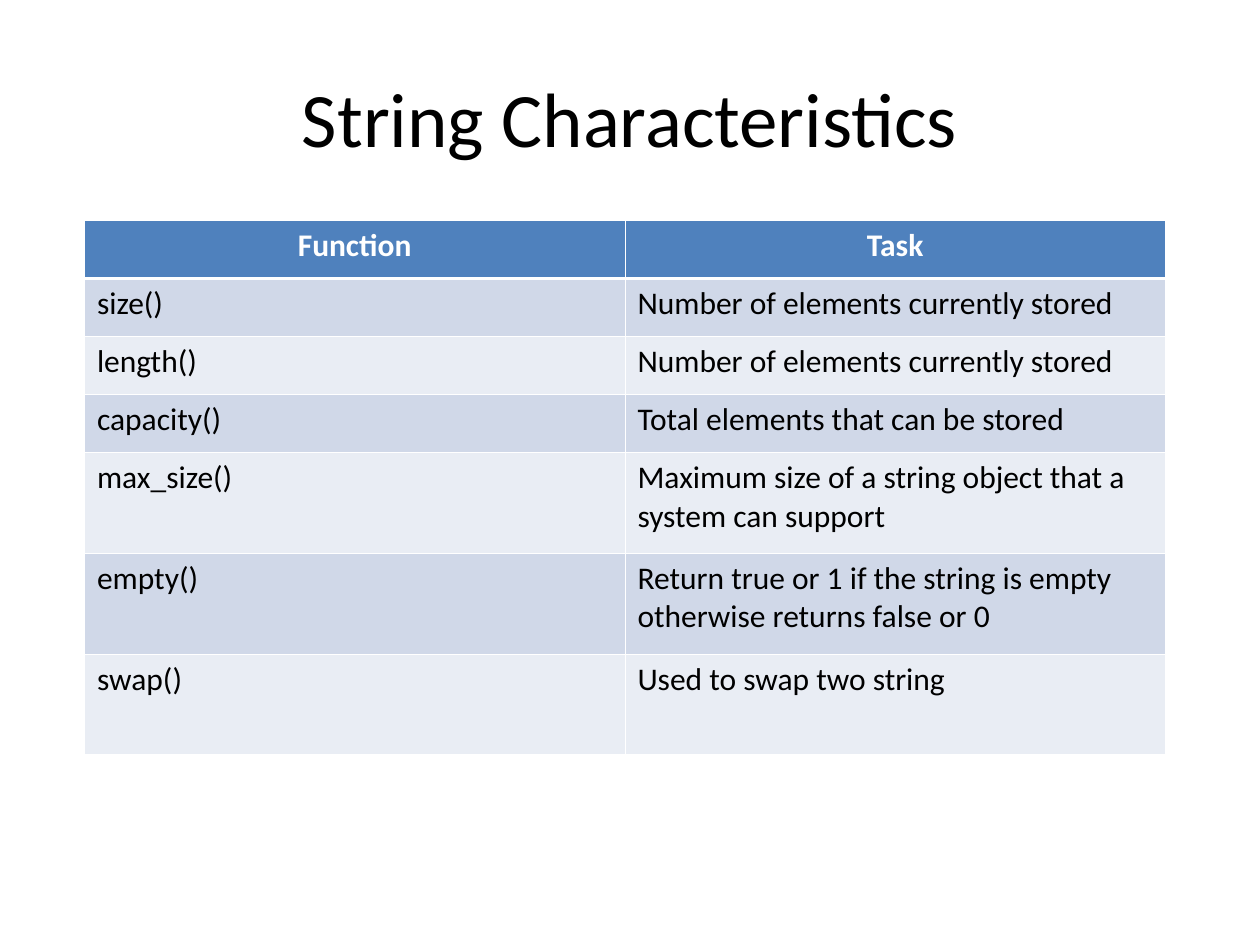
from lxml import etree
from pptx import Presentation
from pptx.dml.color import RGBColor
from pptx.enum.text import MSO_ANCHOR, PP_ALIGN
from pptx.oxml.ns import qn
from pptx.util import Inches, Pt

LEFT, CENTER = PP_ALIGN.LEFT, PP_ALIGN.CENTER
MIDDLE, TOP = MSO_ANCHOR.MIDDLE, MSO_ANCHOR.TOP
TITLE_ONLY = 5
FONT = "Calibri"
BLACK, WHITE = "000000", "FFFFFF"
HEADER_FILL = "4F81BD"
BAND_FILLS = ("E9EDF4", "D0D8E8")
THIN, THICK = 0.45, 1.47
SINGLE_ROW, DOUBLE_ROW = 0.46, 0.8

FUNCTIONS = [
    ("Function", "Task", SINGLE_ROW),
    ("size()", "Number of elements currently stored", SINGLE_ROW),
    ("length()", "Number of elements currently stored", SINGLE_ROW),
    ("capacity()", "Total elements that can be stored", SINGLE_ROW),
    ("max_size()", "Maximum size of a string object that a system can support", DOUBLE_ROW),
    ("empty()", "Return true or 1 if the string is empty otherwise returns false or 0", DOUBLE_ROW),
    ("swap()", "Used to swap two string", DOUBLE_ROW),
]


def color(value):
    return RGBColor.from_string(value)


def write_text(text_frame, text, size=18, fill=BLACK, bold=False, align=LEFT):
    paragraph = text_frame.paragraphs[0]
    paragraph.alignment = align
    run = paragraph.add_run()
    run.text = text
    run.font.name = FONT
    run.font.size = Pt(size)
    run.font.bold = bold
    run.font.color.rgb = color(fill)


def set_borders(cell, top, bottom):
    properties = cell._tc.get_or_add_tcPr()
    for side, width in (("L", THIN), ("R", THIN), ("T", top), ("B", bottom)):
        line = etree.SubElement(properties, qn(f"a:ln{side}"), w=str(Pt(width)))
        solid = etree.SubElement(line, qn("a:solidFill"))
        etree.SubElement(solid, qn("a:srgbClr"), val=WHITE)


def place_title(slide, box, text):
    title = slide.shapes.title
    title.left, title.top, title.width, title.height = map(Inches, box)
    title.text_frame.word_wrap = True
    title.text_frame.vertical_anchor = MIDDLE
    write_text(title.text_frame, text, size=44, align=CENTER)


def place_function_table(slide, box, functions):
    frame = slide.shapes.add_table(len(functions), 2, *map(Inches, box))
    table = frame.table
    for column in table.columns:
        column.width = Inches(box[2] / 2)
    for row_index, (function, task, height) in enumerate(functions):
        header = row_index == 0
        table.rows[row_index].height = Inches(height)
        for column_index, text in enumerate((function, task)):
            cell = table.cell(row_index, column_index)
            cell.vertical_anchor = TOP
            cell.margin_left = cell.margin_right = Inches(0.1)
            cell.margin_top = cell.margin_bottom = Inches(0.05)
            set_borders(cell, THICK if row_index == 1 else THIN, THICK if header else THIN)
            cell.fill.solid()
            cell.fill.fore_color.rgb = color(HEADER_FILL if header else BAND_FILLS[row_index % 2])
            write_text(
                cell.text_frame,
                text,
                fill=WHITE if header else BLACK,
                bold=header,
                align=CENTER if header else LEFT,
            )


def main():
    presentation = Presentation()
    presentation.slide_width, presentation.slide_height = Inches(10), Inches(7.5)
    slide = presentation.slides.add_slide(presentation.slide_layouts[TITLE_ONLY])
    place_title(slide, (0.5, 0.3, 9, 1.25), "String Characteristics")
    table_height = sum(height for _, _, height in FUNCTIONS)
    place_function_table(slide, (0.67, 1.75, 8.58, table_height), FUNCTIONS)
    presentation.save("out.pptx")


if __name__ == "__main__":
    main()
